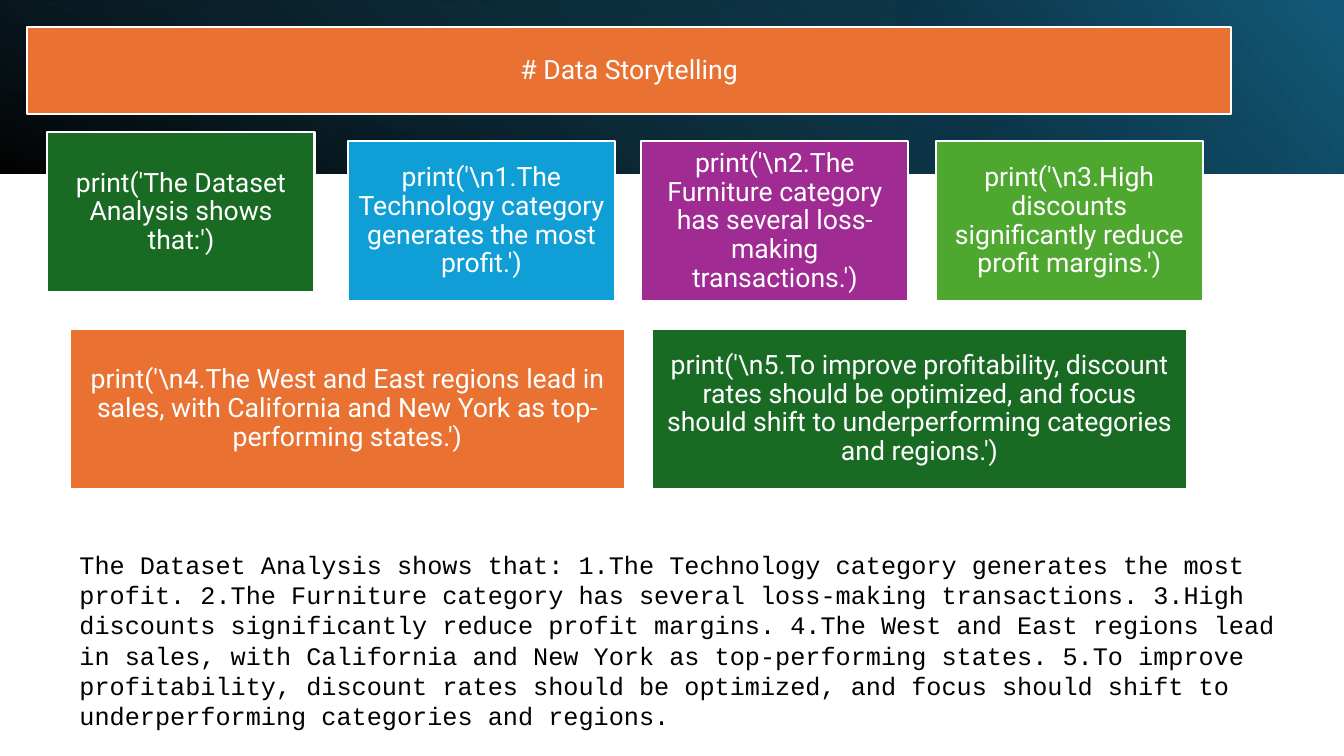
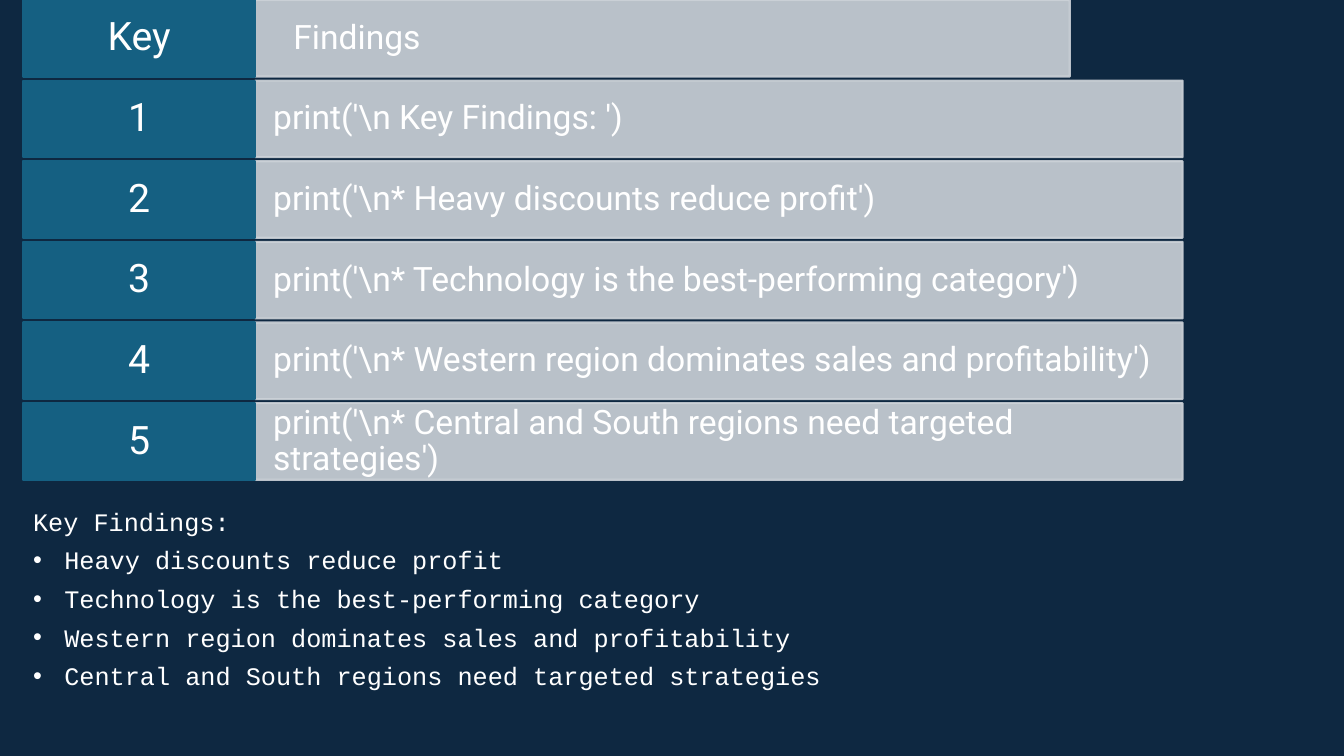
from lxml import etree
from pptx import Presentation
from pptx.dml.color import RGBColor
from pptx.enum.shapes import MSO_SHAPE
from pptx.enum.text import MSO_ANCHOR, MSO_AUTO_SIZE, PP_ALIGN
from pptx.oxml.ns import qn
from pptx.util import Inches, Pt

WHITE = RGBColor(0xFF, 0xFF, 0xFF)
BLACK = RGBColor(0x00, 0x00, 0x00)
NAVY = RGBColor(0x0E, 0x28, 0x41)
TEAL = RGBColor(0x15, 0x60, 0x82)
DEEP_TEAL = RGBColor(0x10, 0x48, 0x62)
DARK_TEAL = RGBColor(0x0B, 0x30, 0x41)
MIST = RGBColor(0xCC, 0xD2, 0xD8)
ORANGE = RGBColor(0xE9, 0x71, 0x32)
FOREST = RGBColor(0x19, 0x6B, 0x24)
BLUE = RGBColor(0x0F, 0x9E, 0xD5)
PURPLE = RGBColor(0xA0, 0x2B, 0x93)
GREEN = RGBColor(0x4E, 0xA7, 0x2E)
FONT = "Roboto"
MONO = "Courier New"


def set_opacity(node, percent):
    for color in node.iter(qn("a:srgbClr")):
        etree.SubElement(color, qn("a:alpha"), val=str(percent * 1000))


def fill_box(sp, text, size, fill, line, inset_x, inset_y, align=PP_ALIGN.CENTER):
    """Give a box its fill, outline and one paragraph of white text."""
    sp.fill.solid()
    sp.fill.fore_color.rgb = fill
    sp.line.color.rgb = line
    sp.line.width = Pt(1.5)
    tf = sp.text_frame
    tf.text = text
    tf.word_wrap = True
    tf.auto_size = MSO_AUTO_SIZE.NONE
    tf.vertical_anchor = MSO_ANCHOR.MIDDLE
    tf.margin_left = tf.margin_right = Inches(inset_x)
    tf.margin_top = tf.margin_bottom = Inches(inset_y)
    p = tf.paragraphs[0]
    p.alignment = align
    p.line_spacing = 0.9
    p.font.name = FONT
    p.font.size = Pt(size)
    p.font.color.rgb = WHITE


prs = Presentation()
prs.slide_width = Inches(13.33)
prs.slide_height = Inches(7.5)

# Slide 1: data storytelling
story = prs.slides.add_slide(prs.slide_layouts[5])

# left, top, width, height, rotation, flipped, angle, (position, color, opacity) stops
bands = [
    (0, 0, 13.33, 1.72, 0, True, 140, [(0, BLACK, 96), (1, DEEP_TEAL, 100)]),
    (8.89, 0, 4.44, 1.72, 180, True, 320, [(0.19, DARK_TEAL, 68), (1, TEAL, 79)]),
    (5.8, -5.8, 1.72, 13.33, 90, False, 340, [(0.23, TEAL, 0), (0.99, BLACK, 74)]),
]
for *place, rotation, flipped, angle, stops in bands:
    sp = story.shapes.add_shape(MSO_SHAPE.RECTANGLE, *map(Inches, place))
    sp.shadow.inherit = False
    sp.line.fill.background()
    sp.rotation = rotation
    if flipped:
        sp.element.spPr.find(qn("a:xfrm")).set("flipH", "1")
    sp.fill.gradient()
    sp.fill.gradient_angle = angle
    for stop, (position, color, _) in zip(sp.fill.gradient_stops, stops):
        stop.position = position
        stop.color.rgb = color
    for node, (_, _, opacity) in zip(sp.element.iter(qn("a:gs")), stops):
        set_opacity(node, opacity)

title = story.shapes.title
title.left, title.top = Inches(0.27), Inches(0.27)
title.width, title.height = Inches(11.94), Inches(0.86)
fill_box(title, "# Data Storytelling", 19, ORANGE, WHITE, 0.08, 0.08)
title.element.getparent().append(title.element)  # in front of the bands

cards = [
    (0.47, 1.31, 2.65, FOREST, "print('The Dataset Analysis shows that:')"),
    (3.45, 1.4, 2.65, BLUE,
     r"print('\n1.The Technology category generates the most profit.')"),
    (6.36, 1.4, 2.65, PURPLE,
     r"print('\n2.The Furniture category has several loss-making transactions.')"),
    (9.28, 1.4, 2.65, GREEN,
     r"print('\n3.High discounts significantly reduce profit margins.')"),
    (0.69, 3.26, 5.51, ORANGE,
     r"print('\n4.The West and East regions lead in sales, with California "
     "and New York as top-performing states.')"),
    (6.47, 3.26, 5.3, FOREST,
     r"print('\n5.To improve profitability, discount rates should be optimized, "
     "and focus should shift to underperforming categories and regions.')"),
]
for left, top, width, color, text in cards:
    sp = story.shapes.add_shape(MSO_SHAPE.RECTANGLE, Inches(left), Inches(top),
                                Inches(width), Inches(1.59))
    sp.shadow.inherit = False
    fill_box(sp, text, 19, color, WHITE, 0.08, 0.08)

# Slide 2: key findings
findings = prs.slides.add_slide(prs.slide_layouts[6])
findings.background.fill.solid()
findings.background.fill.fore_color.rgb = NAVY

KEY_LEFT, KEY_WIDTH, ROW_HEIGHT, ROW_PITCH = 0.23, 2.3, 0.76, 0.8
rows = [
    ("Key", "Findings"),
    ("1", r"print('\n Key Findings: ')"),
    ("2", r"print('\n* Heavy discounts reduce profit')"),
    ("3", r"print('\n* Technology is the best-performing category')"),
    ("4", r"print('\n* Western region dominates sales and profitability')"),
    ("5", r"print('\n* Central and South regions need targeted strategies')"),
]
for i, (key, finding) in enumerate(rows):
    width, inset = (8.08, 0.38) if i == 0 else (9.2, 0.18)
    top = Inches(i * ROW_PITCH)
    bar = findings.shapes.add_shape(MSO_SHAPE.RECTANGLE, Inches(KEY_LEFT + KEY_WIDTH),
                                    top, Inches(width), Inches(ROW_HEIGHT))
    bar.shadow.inherit = False
    fill_box(bar, finding, 24, MIST, MIST, inset, 0.19, PP_ALIGN.LEFT)
    set_opacity(bar.element.spPr, 90)
    cell = findings.shapes.add_shape(MSO_SHAPE.RECTANGLE, Inches(KEY_LEFT), top,
                                     Inches(KEY_WIDTH), Inches(ROW_HEIGHT))
    cell.shadow.inherit = False
    fill_box(cell, key, 28, TEAL, TEAL, 0.12, 0.07)

# Printed output below the boxes: first line plain, the others bulleted
outputs = [
    (story, (0.69, 5.4, 12.33, 1.92), BLACK, [
        "The Dataset Analysis shows that: 1.The Technology category generates the most "
        "profit. 2.The Furniture category has several loss-making transactions. 3.High "
        "discounts significantly reduce profit margins. 4.The West and East regions lead "
        "in sales, with California and New York as top-performing states. 5.To improve "
        "profitability, discount rates should be optimized, and focus should shift to "
        "underperforming categories and regions."]),
    (findings, (0.23, 4.97, 12.35, 2.2), WHITE, [
        "Key Findings:",
        "Heavy discounts reduce profit",
        "Technology is the best-performing category",
        "Western region dominates sales and profitability",
        "Central and South regions need targeted strategies"]),
]
for s, place, color, lines in outputs:
    tf = s.shapes.add_textbox(*map(Inches, place)).text_frame
    tf.word_wrap = True
    tf.text = "\n".join(lines)
    for i, p in enumerate(tf.paragraphs):
        p.space_after = Pt(6)
        p.font.name = MONO
        p.font.size = Pt(18)
        p.font.color.rgb = color
        if i > 0:
            pPr = p._p.get_or_add_pPr()
            pPr.set("marL", str(Inches(0.31)))
            pPr.set("indent", str(Inches(-0.31)))
            bullet_font = etree.Element(qn("a:buFont"), typeface="Arial")
            bullet = etree.Element(qn("a:buChar"), char="•")
            pPr.find(qn("a:defRPr")).addprevious(bullet_font)
            bullet_font.addnext(bullet)

prs.save("out.pptx")
